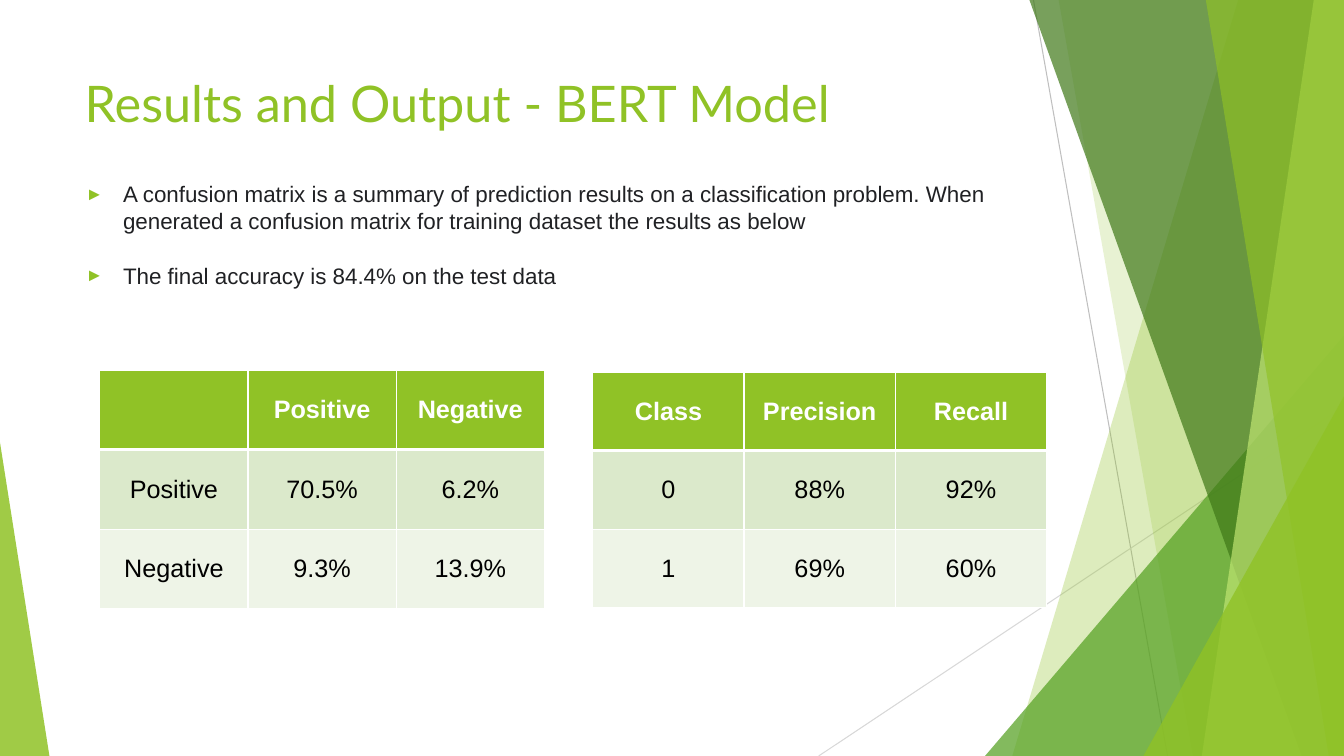
from lxml.etree import SubElement
from pptx import Presentation
from pptx.dml.color import RGBColor
from pptx.enum.shapes import MSO_CONNECTOR, MSO_SHAPE
from pptx.enum.text import MSO_ANCHOR, MSO_AUTO_SIZE, PP_ALIGN
from pptx.oxml.ns import qn
from pptx.util import Inches, Pt

# Content
TITLE = "Results and Output - BERT Model"
BULLETS = [
    "A confusion matrix is a summary of prediction results on a classification problem. "
    "When generated a confusion matrix for training dataset the results as below",
    "The final accuracy is 84.4% on the test data",
]
# left, top, column width, row height, rows
TABLES = [
    (0.99, 3.67, 1.47, 0.79, [
        ("", "Positive", "Negative"),
        ("Positive", "70.5%", "6.2%"),
        ("Negative", "9.3%", "13.9%"),
    ]),
    (5.88, 3.69, 1.5, 0.78, [
        ("Class", "Precision", "Recall"),
        ("0", "88%", "92%"),
        ("1", "69%", "60%"),
    ]),
]
COLORS = {
    "green": "90C226", "leaf": "54A021", "forest": "3F7818", "lime": "BFE471",
    "gray": "BFBFBF", "pale gray": "D8D8D8", "white": "FFFFFF",
    "black": "000000", "body": "202124", "band 1": "DBE9CB", "band 2": "EEF4E7",
}
RIGHT, BOTTOM = 13.33, 7.5

# Decoration, back to front
THIN_LINES = [
    ((10.25, 0), (11.58, BOTTOM), "gray"),
    ((RIGHT, 4.03), (8.12, BOTTOM), "pale gray"),
]
# Bands reach the right edge: top left x, bottom left x, color, opacity
# Triangles: left, top, width, apex position, color, opacity
DECORATION = [
    ("band", 12.28, 10.04, "green", 30),
    ("band", 10.5, 11.83, "green", 20),
    ("triangle", 9.77, 3.33, 3.56, 1, "leaf", 72),
    ("band", 10.21, 12.91, "forest", 70),
    ("band", 13.03, 11.92, "lime", 70),
    ("band", 11.96, 13.18, "green", 65),
    ("triangle", 11.34, 3.93, 1.99, 1, "green", 80),
    ("triangle", 0, 4.39, 0.49, 0, "green", 85),
]


def color(name):
    return RGBColor.from_string(COLORS[name])


def add_run(paragraph, text, font_name, size, color_name, bold=False):
    run = paragraph.add_run()
    run.text = text
    run.font.name = font_name
    run.font.size = Pt(size)
    run.font.bold = bold
    run.font.color.rgb = color(color_name)


def fill_translucent(shape, color_name, opacity):
    shape.shadow.inherit = False
    shape.line.fill.background()
    shape.fill.solid()
    shape.fill.fore_color.rgb = color(color_name)
    value = shape.fill._xPr.find(".//" + qn("a:srgbClr"))
    SubElement(value, qn("a:alpha"), val=str(opacity * 1000))


def add_band(shapes, top_x, bottom_x):
    corners = [(RIGHT, 0), (RIGHT, BOTTOM), (bottom_x, BOTTOM)]
    builder = shapes.build_freeform(Inches(top_x), 0)
    builder.add_line_segments([(Inches(x), Inches(y)) for x, y in corners], close=True)
    return builder.convert_to_shape()


def add_triangle(shapes, left, top, width, apex):
    shape = shapes.add_shape(MSO_SHAPE.ISOSCELES_TRIANGLE, Inches(left), Inches(top),
                             Inches(width), Inches(BOTTOM - top))
    shape.adjustments[0] = apex
    return shape


def add_decoration(slide):
    group = slide.shapes.add_group_shape()
    for start, end, color_name in THIN_LINES:
        line = group.shapes.add_connector(
            MSO_CONNECTOR.STRAIGHT, *(Inches(value) for value in start + end))
        line.line.color.rgb = color(color_name)
        line.line.width = Pt(0.75)
        SubElement(line._element.spPr, qn("a:effectLst"))
    for kind, *geometry, color_name, opacity in DECORATION:
        add = add_band if kind == "band" else add_triangle
        fill_translucent(add(group.shapes, *geometry), color_name, opacity)
    # Send the group behind the placeholders
    slide.shapes._spTree.insert(2, group._element)


def place_text(placeholder, left, top, width, height):
    placeholder.left, placeholder.top = Inches(left), Inches(top)
    placeholder.width, placeholder.height = Inches(width), Inches(height)
    frame = placeholder.text_frame
    frame.word_wrap = True
    frame.auto_size = MSO_AUTO_SIZE.NONE
    frame.vertical_anchor = MSO_ANCHOR.TOP
    return frame


def add_bullet(paragraph):
    properties = paragraph._p.get_or_add_pPr()
    properties.set("marL", str(Inches(0.38)))
    properties.set("indent", str(-Inches(0.37)))
    bullet_color = SubElement(properties, qn("a:buClr"))
    SubElement(bullet_color, qn("a:srgbClr"), val=COLORS["green"])
    SubElement(properties, qn("a:buSzPct"), val="80000")
    SubElement(properties, qn("a:buFont"), typeface="Arial")
    SubElement(properties, qn("a:buChar"), char="►")


def add_border(cell, side, width):
    line = SubElement(cell._tc.get_or_add_tcPr(), qn("a:ln" + side), w=str(Pt(width)))
    fill = SubElement(line, qn("a:solidFill"))
    SubElement(fill, qn("a:srgbClr"), val=COLORS["white"])


def add_result_table(slide, left, top, column_width, row_height, rows):
    columns = len(rows[0])
    table = slide.shapes.add_table(
        len(rows), columns, Inches(left), Inches(top),
        Inches(column_width * columns), Inches(row_height * len(rows))).table
    for column in table.columns:
        column.width = Inches(column_width)
    for row_index, row in enumerate(rows):
        table.rows[row_index].height = Inches(row_height)
        header = row_index == 0
        for column_index, text in enumerate(row):
            cell = table.cell(row_index, column_index)
            cell.vertical_anchor = MSO_ANCHOR.MIDDLE
            # Thick rule between the header and the first row
            heavy_side = {0: "B", 1: "T"}.get(row_index)
            for side in "LRTB":
                add_border(cell, side, 3 if side == heavy_side else 1)
            cell.fill.solid()
            cell.fill.fore_color.rgb = color("green" if header else f"band {row_index}")
            paragraph = cell.text_frame.paragraphs[0]
            paragraph.alignment = PP_ALIGN.CENTER
            if text:
                add_run(paragraph, text, "Arial", 18, "white" if header else "black", header)


def main():
    presentation = Presentation()
    presentation.slide_width, presentation.slide_height = Inches(RIGHT), Inches(BOTTOM)
    slide = presentation.slides.add_slide(presentation.slide_layouts[1])
    add_decoration(slide)

    # Title
    frame = place_text(slide.shapes.title, 0.74, 0.67, 9.4, 1.44)
    frame.paragraphs[0].alignment = PP_ALIGN.LEFT
    add_run(frame.paragraphs[0], TITLE, "Lato", 36, "green")

    # Bullets
    frame = place_text(slide.placeholders[1], 0.74, 1.74, 9.4, 4.95)
    for index, text in enumerate(BULLETS):
        paragraph = frame.add_paragraph() if index else frame.paragraphs[0]
        paragraph.space_before = Pt(20 if index else 0)
        add_bullet(paragraph)
        add_run(paragraph, text, "Arial", 16, "body")

    # Result tables
    for table in TABLES:
        add_result_table(slide, *table)

    presentation.save("out.pptx")


if __name__ == "__main__":
    main()
